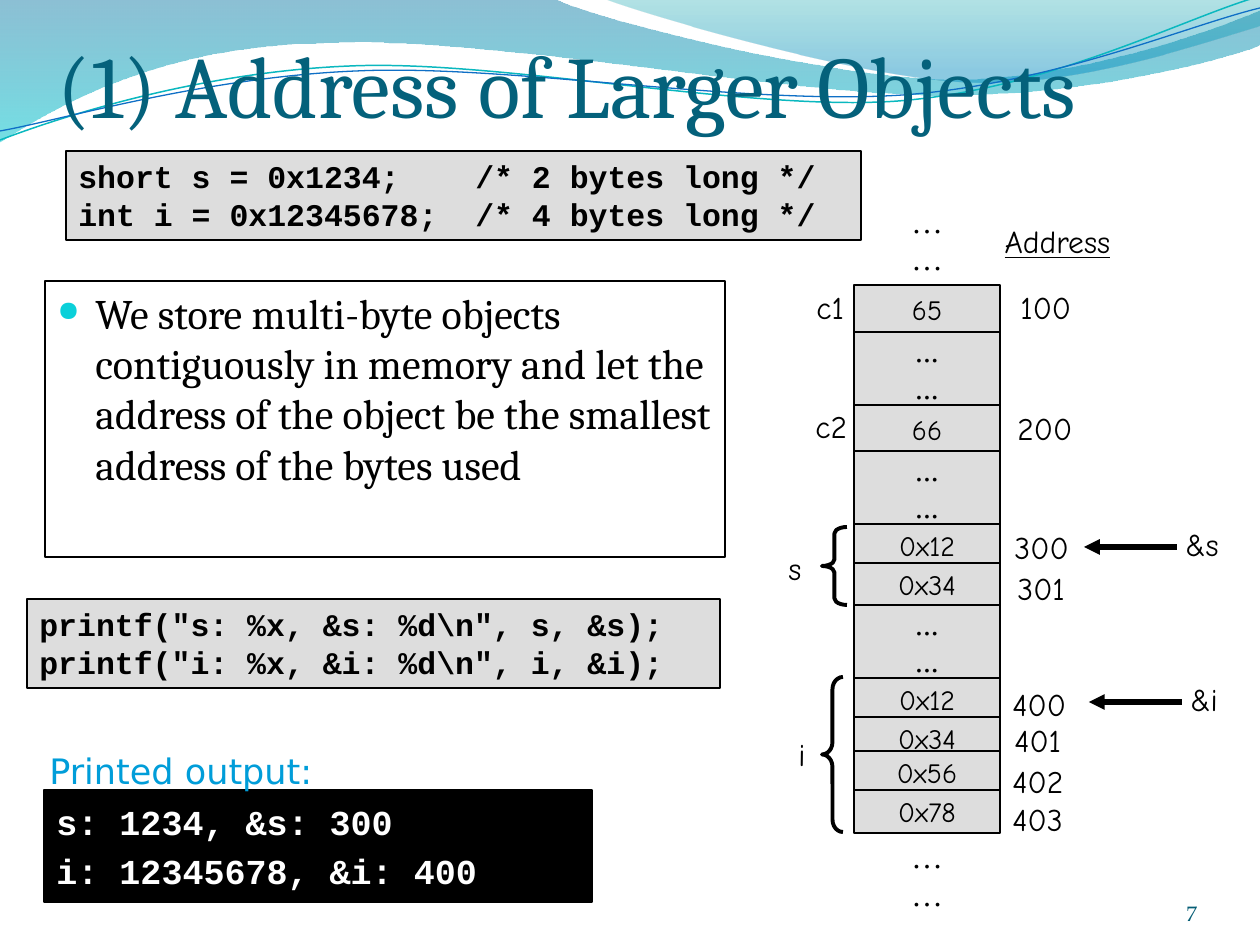
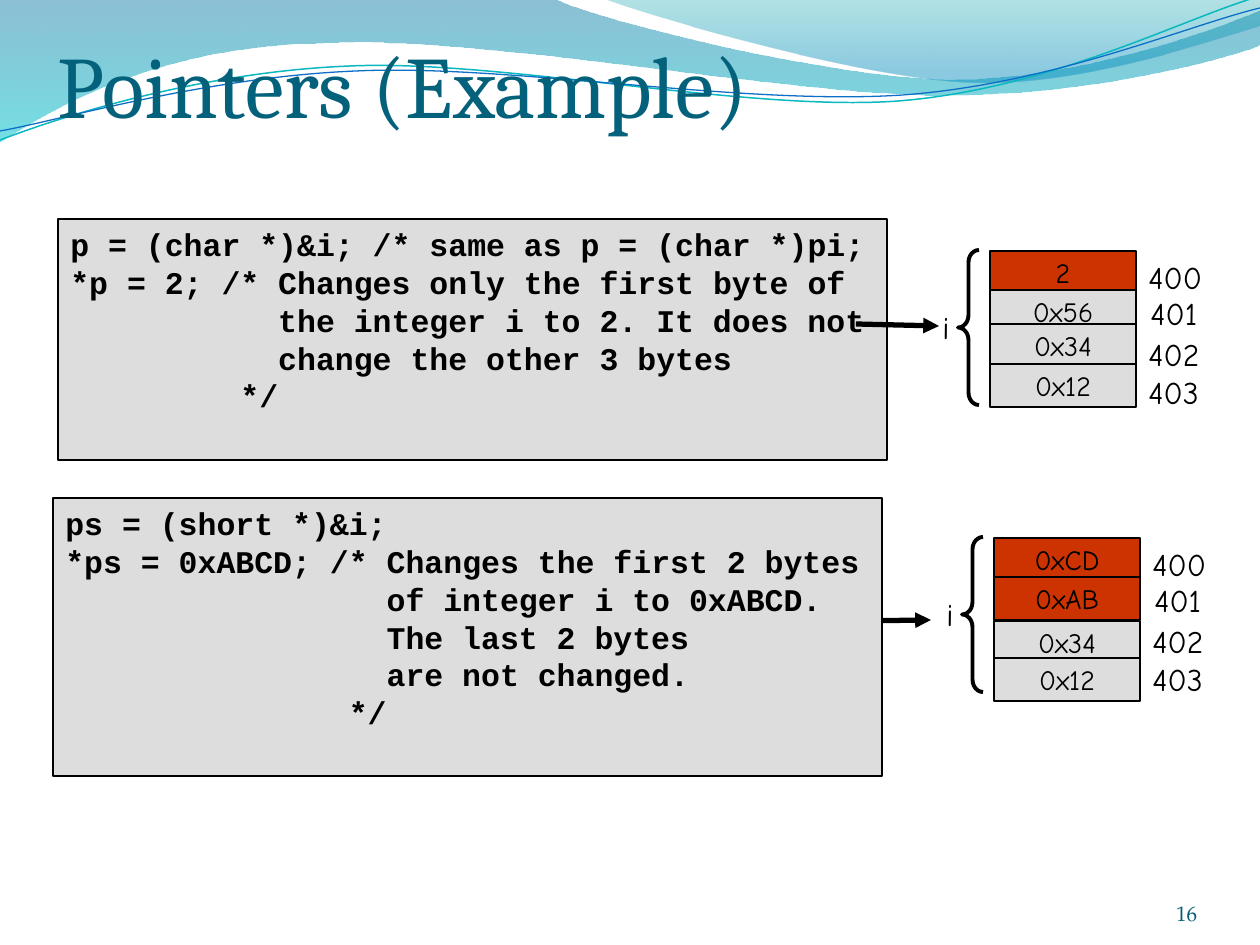
from dataclasses import dataclass
from lxml.etree import SubElement
from pptx import Presentation
from pptx.dml.color import RGBColor
from pptx.enum.shapes import MSO_CONNECTOR, MSO_SHAPE
from pptx.enum.text import MSO_ANCHOR, PP_ALIGN
from pptx.oxml.ns import qn
from pptx.util import Emu, Pt

SCALE = 914400 / 126


@dataclass(frozen=True)
class Theme:
    ink: str = "000000"
    grey: str = "DDDDDD"
    changed: str = "CC3300"
    bullet: str = "0BD0D9"
    title: tuple = ("Cambria", 50, "04617B")
    body: tuple = ("Cambria", 24, "000000")
    code: tuple = ("Courier New", 18, "000000", {"bold": True})
    output: tuple = ("Courier New", 20, "FFFFFF", {"bold": True})
    caption: tuple = ("DejaVu Sans", 20, "009DD9")
    number: tuple = ("TeX Gyre Pagella", 12, "045D75")
    value: tuple = ("Comic Neue", 16, "000000")
    label: tuple = ("Comic Neue", 18, "000000")
    heading: tuple = ("Comic Neue", 18, "000000", {"underline": True})
    dots: tuple = ("Times New Roman", 18, "000000")


THEME = Theme()
LEFT, CENTER, RIGHT = PP_ALIGN.LEFT, PP_ALIGN.CENTER, PP_ALIGN.RIGHT
TOP, MIDDLE, BOTTOM = MSO_ANCHOR.TOP, MSO_ANCHOR.MIDDLE, MSO_ANCHOR.BOTTOM

# Shared waves: start, then segments of one point (line) or three (Bezier)
WAVE_BANDS = [
    ((0, 0), [[(554, -1)],
              [(600, 21), (837, 79), (955, 79)], [(1075, 79), (1207, 33), (1260, 11)],
              [(1261, 45)],
              [(1239, 55), (1096, 96), (940, 95)], [(784, 95), (481, 35), (324, 43)],
              [(163, 45), (58, 105), (-1, 142)]],
     [(0, "0074A1", 45), (1, "00C6CF", 55)]),
    ((604, -1), [[(641, 14), (859, 78), (969, 82)], [(1079, 87), (1211, 40), (1260, 26)],
                 [(1260, 0)]],
     [(0, "00A1A9", 30), (0.8, "008BBF", 45)]),
]
WAVE_LINES = [
    ((0, 140), [[(60, 117), (199, 72), (349, 66)], [(498, 59), (747, 112), (898, 101)],
                [(1050, 89), (1182, 19), (1257, -3)]], "0AB8BF", 0.85),
    ((0, 131), [[(58, 121), (205, 77), (357, 71)], [(508, 64), (743, 106), (903, 95)],
                [(1053, 84), (1186, 26), (1260, 8)]], "0F6FC6", 0.75),
]

# Code lines: (start column, text)
DECLARATIONS = [(0, "short s = 0x1234;    /* 2 bytes long */"),
                (0, "int i = 0x12345678;  /* 4 bytes long */")]
PRINT_CALLS = [(0, 'printf("s: %x, &s: %d\\n", s, &s);'),
               (0, 'printf("i: %x, &i: %d\\n", i, &i);')]
CHAR_POINTER = [(0, "p = (char *)&i; /* same as p = (char *)pi;"),
                (0, "*p = 2; /* Changes only the first byte of"),
                (11, "the integer i to 2. It does not"),
                (11, "change the other 3 bytes"),
                (9, "*/")]
SHORT_POINTER = [(0, "ps = (short *)&i;"),
                 (0, "*ps = 0xABCD; /* Changes the first 2 bytes"),
                 (17, "of integer i to 0xABCD."),
                 (17, "The last 2 bytes"),
                 (17, "are not changed."),
                 (15, "*/")]
STORAGE_RULE = ("We store multi-byte objects contiguously in memory and let the "
                "address of the object be the smallest address of the bytes used")
PRINTED = ["s: 1234, &s: 300", "i: 12345678, &i: 400"]

# Memory column of the first slide
CELL_WIDTH, BYTE_HEIGHT, GAP_HEIGHT = 146, 43, 73
MEMORY_LEFT = 854
SINGLE_CELLS = [(285, 49, "65"), (405, 49, "66"),
                (524, BYTE_HEIGHT, "0x12"), (563, BYTE_HEIGHT, "0x34")]
GAP_TOPS = [332, 451, 605]
OUTSIDE_TOPS = [198, 833]
MEMORY_LABELS = [("c1", 804, 282), ("100", 1008, 282), ("c2", 803, 401),
                 ("200", 1005, 403), ("s", 776, 543), ("300", 1002, 522),
                 ("301", 1005, 563), ("&s", 1173, 519), ("&i", 1178, 674)]
LABEL_WIDTHS = {"c1": 55, "c2": 60, "s": 40, "i": 34, "&s": 62, "&i": 54,
                "100": 78, "301": 78, "401": 78}
ADDRESS_ARROWS = [((1177, 547), (1084, 547)), ((1182, 702), (1089, 702))]

# Four-byte integer: (text, offset from the top)
INTEGER_ADDRESSES = [("400", 1), ("401", 37), ("402", 78), ("403", 116)]
INTEGER_STORED = [("0x12", 0), ("0x34", 39), ("0x56", 73), ("0x78", 112)]
AFTER_CHAR = [("2", 0), ("0x56", 39), ("0x34", 73), ("0x12", 113)]
AFTER_SHORT = [("0xCD", 0), ("0xAB", 39), ("0x34", 83), ("0x12", 120)]


def px(length):
    return Emu(round(length * SCALE))


def rgb(code):
    return RGBColor.from_string(code)


def write(frame, lines, style, align=LEFT, anchor=TOP, wrap=True, margins=(12.6, 6.3) * 2):
    family, size, color, *extra = style
    left, top, right, bottom = map(px, margins)
    layout = {"word_wrap": wrap, "vertical_anchor": anchor, "margin_left": left,
              "margin_top": top, "margin_right": right, "margin_bottom": bottom}
    for name, setting in layout.items():
        setattr(frame, name, setting)
    font_format = {"name": family, "size": Pt(size), **(extra[0] if extra else {})}
    for index, line in enumerate(lines):
        paragraph = frame.paragraphs[0] if index == 0 else frame.add_paragraph()
        paragraph.alignment = align
        run = paragraph.add_run()
        run.text = line
        for name, setting in font_format.items():
            setattr(run.font, name, setting)
        run.font.color.rgb = rgb(color)
    return frame.paragraphs


def add_text(slide, box, lines, style, **layout):
    frame = slide.shapes.add_textbox(*map(px, box)).text_frame
    return write(frame, lines, style, **layout)


def outline(shape, fill=None, line=THEME.ink, width=None):
    shape.shadow.inherit = False
    if fill:
        shape.fill.solid()
        shape.fill.fore_color.rgb = rgb(fill)
    else:
        shape.fill.background()
    shape.line.color.rgb = rgb(line)
    if width:
        shape.line.width = Pt(width)


def add_panel(slide, box, fill, lines, style, **layout):
    panel = slide.shapes.add_shape(MSO_SHAPE.RECTANGLE, *map(px, box))
    # A zero width draws as a hairline
    outline(panel, fill)
    panel.line.width = 0
    return write(panel.text_frame, lines, style, **layout)


def add_code(slide, box, lines):
    column_width = THEME.code[1] * 0.6 * 12700
    paragraphs = add_panel(slide, box, THEME.grey, [text for _, text in lines], THEME.code)
    for paragraph, (column, _) in zip(paragraphs, lines):
        properties = paragraph._p.get_or_add_pPr()
        properties.set("marL", str(round(column * column_width)))
        properties.set("indent", "0")


def add_wave(slide, start, segments, close):
    builder = slide.shapes.build_freeform(*map(px, start))
    points = [(px(x), px(y)) for segment in segments for x, y in segment]
    builder.add_line_segments(points, close=close)
    wave = builder.convert_to_shape()
    wave.shadow.inherit = False
    # Join each three points of a Bezier segment into one curve
    corners = iter(list(wave.element.iter(qn("a:lnTo"))))
    for segment in segments:
        first, *others = [next(corners) for _ in segment]
        if others:
            first.tag = qn("a:cubicBezTo")
            for corner in others:
                first.append(corner[0])
                corner.getparent().remove(corner)
    return wave


def add_frame(slide, title, number):
    # Waves behind the title
    for start, segments, stops in WAVE_BANDS:
        band = add_wave(slide, start, segments, True)
        band.line.fill.background()
        band.fill.gradient()
        band.fill.gradient_angle = 270
        for stop, (position, color, _) in zip(band.fill.gradient_stops, stops):
            stop.position = position
            stop.color.rgb = rgb(color)
        for node, (_, _, opacity) in zip(band.element.iter(qn("a:gs")), stops):
            SubElement(node[0], qn("a:alpha"), val=str(opacity * 1000))
    for start, segments, color, width in WAVE_LINES:
        outline(add_wave(slide, start, segments, False), line=color, width=width)
    # Title and slide number
    add_text(slide, (39, 19, 1183, 117), [title], THEME.title,
             anchor=BOTTOM, margins=(19, 6, 0, 0))
    add_text(slide, (1092, 876, 105, 50), [number], THEME.number,
             align=RIGHT, anchor=BOTTOM, margins=(0, 0, 0, 0))


def add_cell(slide, left, top, height, lines, style=THEME.value, fill=THEME.grey):
    add_panel(slide, (left, top, CELL_WIDTH, height), fill, lines, style,
              align=CENTER, anchor=MIDDLE, wrap=False)


def add_label(slide, text, left, top):
    add_text(slide, (left, top, LABEL_WIDTHS.get(text, 83), 50), [text],
             THEME.label, wrap=False)


def add_brace(slide, box, bend):
    brace = slide.shapes.add_shape(MSO_SHAPE.LEFT_BRACE, *map(px, box))
    outline(brace, width=2.25)
    brace.adjustments[0] = bend


def add_arrow(slide, start, end):
    arrow = slide.shapes.add_connector(MSO_CONNECTOR.STRAIGHT, *map(px, (*start, *end)))
    arrow.line.color.rgb = rgb(THEME.ink)
    arrow.line.width = Pt(3)
    properties = arrow.element.spPr
    SubElement(properties.find(qn("a:ln")), qn("a:tailEnd"), type="triangle")
    SubElement(properties, qn("a:effectLst"))


def add_integer(slide, left, top, stored, changed=0, name_gap=60):
    for index, (byte, offset) in enumerate(stored):
        add_cell(slide, left, top + offset, BYTE_HEIGHT, [byte],
                 fill=THEME.changed if index < changed else THEME.grey)
    for address, offset in INTEGER_ADDRESSES:
        nudge = 2 if address == "401" else 0
        add_label(slide, address, left + CELL_WIDTH + nudge, top + offset)
    add_brace(slide, (left - 32, top - 1, 21, 155), 0.59)
    add_label(slide, "i", left - name_gap, top + 51)


deck = Presentation()
deck.slide_width, deck.slide_height = px(1260), px(945)
larger_objects, pointers = (deck.slides.add_slide(deck.slide_layouts[6]) for _ in range(2))

# Slide 1: rule and declarations
add_frame(larger_objects, "(1) Address of Larger Objects", "7")
rule, = add_panel(larger_objects, (45, 281, 680, 276), None, [STORAGE_RULE], THEME.body)
rule.space_before = Pt(5)
rule_properties = rule._p.get_or_add_pPr()
for name, indent in {"marL": 38, "indent": -38}.items():
    rule_properties.set(name, str(px(indent)))
SubElement(SubElement(rule_properties, qn("a:buClr")), qn("a:srgbClr"), val=THEME.bullet)
SubElement(rule_properties, qn("a:buSzPct"), val="67000")
SubElement(rule_properties, qn("a:buChar"), char="●")
add_code(larger_objects, (66, 151, 795, 89), DECLARATIONS)

# Slide 1: memory column
for top in OUTSIDE_TOPS:
    add_text(larger_objects, (MEMORY_LEFT, top, CELL_WIDTH, 83), ["…"] * 2, THEME.dots,
             align=CENTER, anchor=MIDDLE, wrap=False)
for top, height, stored_value in SINGLE_CELLS:
    add_cell(larger_objects, MEMORY_LEFT, top, height, [stored_value])
for top in GAP_TOPS:
    add_cell(larger_objects, MEMORY_LEFT, top, GAP_HEIGHT, ["..."] * 2, THEME.dots)
add_integer(larger_objects, MEMORY_LEFT, 678, INTEGER_STORED, name_gap=68)
add_text(larger_objects, (983, 216, 149, 50), ["Address"], THEME.heading,
         align=CENTER, wrap=False)
for memory_label in MEMORY_LABELS:
    add_label(larger_objects, *memory_label)
add_brace(larger_objects, (822, 527, 25, 78), 0.26)
for start, end in ADDRESS_ARROWS:
    add_arrow(larger_objects, start, end)

# Slide 1: print calls and their output
add_code(larger_objects, (27, 599, 693, 89), PRINT_CALLS)
printed = add_panel(larger_objects, (44, 790, 548, 112), THEME.ink, PRINTED,
                    THEME.output, anchor=MIDDLE)
printed[1].space_before = Pt(4.5)
add_text(larger_objects, (37, 743, 292, 54), ["Printed output:"], THEME.caption, wrap=False)

# Slide 2: each pointer write beside the bytes it leaves
add_frame(pointers, "Pointers (Example)", "16")
add_code(pointers, (58, 219, 829, 241), CHAR_POINTER)
add_arrow(pointers, (856, 324), (939, 326))
add_integer(pointers, 990, 251, AFTER_CHAR, changed=1)
add_integer(pointers, 994, 538, AFTER_SHORT, changed=2)
add_arrow(pointers, (850, 621), (931, 620))
add_code(pointers, (53, 498, 829, 278), SHORT_POINTER)

deck.save("out.pptx")
